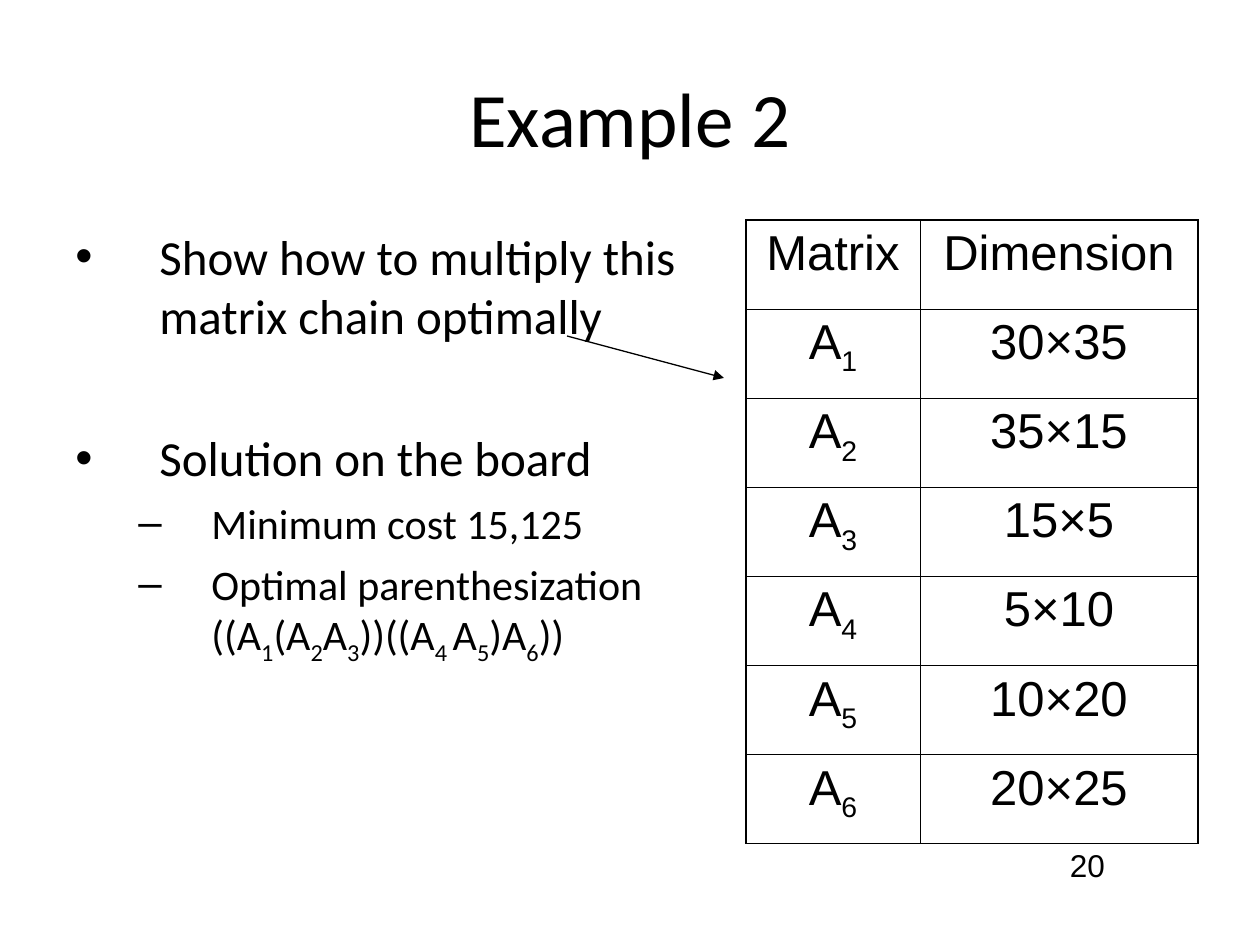
from lxml.etree import SubElement
from pptx import Presentation
from pptx.dml.color import RGBColor
from pptx.enum.shapes import MSO_CONNECTOR
from pptx.enum.text import MSO_ANCHOR, PP_ALIGN
from pptx.oxml.ns import qn
from pptx.util import Emu, Pt

PIXEL = 914400 // 126
BLACK = "000000"
MATRIX_ROWS = [
    ("Matrix", "Dimension"),
    ("A|1", "30×35"),
    ("A|2", "35×15"),
    ("A|3", "15×5"),
    ("A|4", "5×10"),
    ("A|5", "10×20"),
    ("A|6", "20×25"),
]
# Text, level, space before in points
BODY_ITEMS = [
    ("Show how to multiply this matrix chain optimally", 0, 7),
    ("Solution on the board", 0, 48),
    ("Minimum cost 15,125", 1, 6),
    ("Optimal parenthesization ((A|1|(A|2|A|3|))((A|4 |A|5|)A|6|))", 1, 6),
]
# Bullet, text size, left margin, hanging indent
BODY_LEVELS = [("•", 28, 84, 84), ("–", 24, 136, 73)]


def px(length):
    return Emu(length * PIXEL)


def color(hex_value):
    return RGBColor.from_string(hex_value)


def write(paragraph, text, size, font_name):
    """Fill a paragraph; every second part between bars is a subscript."""
    for index, part in enumerate(text.split("|")):
        run = paragraph.add_run()
        run.text = part
        run.font.size = Pt(size)
        run.font.name = font_name
        run.font.color.rgb = color(BLACK)
        if index % 2:
            run.font._element.set("baseline", "-25000")


def add_text_frame(slide, left, top, width, height):
    shape = slide.shapes.add_textbox(px(left), px(top), px(width), px(height))
    shape.text_frame.word_wrap = True
    return shape.text_frame


def add_centered_line(slide, box, text, size, font_name, space_before=0):
    text_frame = add_text_frame(slide, *box)
    text_frame.vertical_anchor = MSO_ANCHOR.TOP if space_before else MSO_ANCHOR.MIDDLE
    paragraph = text_frame.paragraphs[0]
    paragraph.alignment = PP_ALIGN.CENTER
    paragraph.space_before = Pt(space_before)
    write(paragraph, text, size, font_name)


def add_body(slide, box):
    text_frame = add_text_frame(slide, *box)
    for index, (text, level, space_before) in enumerate(BODY_ITEMS):
        paragraph = text_frame.add_paragraph() if index else text_frame.paragraphs[0]
        bullet, size, margin, hanging = BODY_LEVELS[level]
        paragraph.level = level
        paragraph.space_before = Pt(space_before)
        write(paragraph, text, size, "Calibri")
        properties = paragraph._p.get_or_add_pPr()
        properties.set("marL", str(px(margin)))
        properties.set("indent", str(-px(hanging)))
        SubElement(properties, qn("a:buFont"), typeface="Arial")
        SubElement(properties, qn("a:buChar"), char=bullet)


def set_borders(cell, outer_sides):
    properties = cell._tc.get_or_add_tcPr()
    for side in "LRTB":
        width = Pt(1.08 if side in outer_sides else 0.45)
        border = SubElement(properties, qn(f"a:ln{side}"), w=str(width))
        fill = SubElement(border, qn("a:solidFill"))
        SubElement(fill, qn("a:srgbClr"), val=BLACK)


def add_matrix_table(slide, box):
    left, top, width, height = box
    row_count = len(MATRIX_ROWS)
    table = slide.shapes.add_table(
        row_count, 2, px(left), px(top), px(width), px(height)).table
    table.first_row = table.horz_banding = False
    name_width = 174
    table.columns[0].width = px(name_width)
    table.columns[1].width = px(width - name_width)
    for row_index, values in enumerate(MATRIX_ROWS):
        for column_index, text in enumerate(values):
            cell = table.cell(row_index, column_index)
            outer_sides = "LR"[column_index]
            if row_index == 0:
                outer_sides += "T"
            elif row_index == row_count - 1:
                outer_sides += "B"
            set_borders(cell, outer_sides)
            cell.fill.background()
            paragraph = cell.text_frame.paragraphs[0]
            paragraph.alignment = PP_ALIGN.CENTER
            paragraph.space_before = Pt(7)
            write(paragraph, text, 28, "Arial")


def add_arrow(slide, start, end):
    connector = slide.shapes.add_connector(
        MSO_CONNECTOR.STRAIGHT, *map(px, start + end))
    connector.line.color.rgb = color(BLACK)
    connector.line.width = Pt(0.75)
    SubElement(connector.line._get_or_add_ln(), qn("a:tailEnd"), type="triangle")
    SubElement(connector._element.spPr, qn("a:effectLst"))


def main():
    presentation = Presentation()
    presentation.slide_width = px(1260)
    presentation.slide_height = px(945)
    slide = presentation.slides.add_slide(presentation.slide_layouts[6])

    # Slide number and title
    add_centered_line(slide, (998, 840, 179, 50), "20", 18, "Arial", 11.2)
    add_centered_line(slide, (63, 38, 1134, 158), "Example 2", 44, "Calibri")

    # Task and solution, with an arrow to the matrix chain
    add_body(slide, (63, 220, 651, 624))
    add_matrix_table(slide, (746, 220, 452, 624))
    add_arrow(slide, (567, 336), (724, 378))

    presentation.save("out.pptx")


if __name__ == "__main__":
    main()
